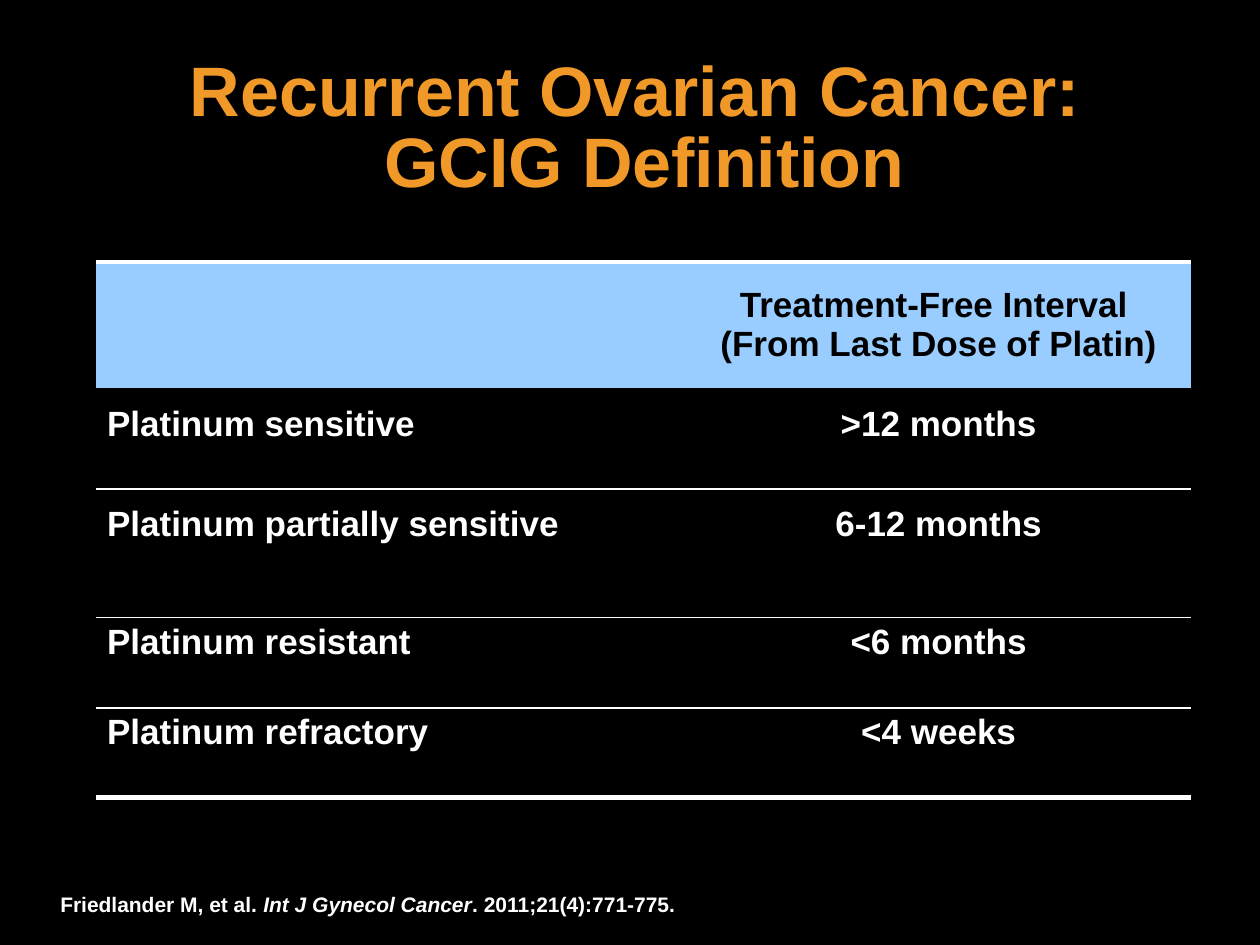
from lxml import etree
from pptx import Presentation
from pptx.dml.color import RGBColor
from pptx.enum.text import MSO_ANCHOR, PP_ALIGN
from pptx.oxml.ns import qn
from pptx.util import Inches, Pt

CENTER, LEFT = PP_ALIGN.CENTER, PP_ALIGN.LEFT
TOP, MIDDLE = MSO_ANCHOR.TOP, MSO_ANCHOR.MIDDLE
COLORS = {"background": "000000", "title": "F09828", "header": "99CCFF",
          "header_text": "000000", "text": "FFFFFF", "rule": "FFFFFF"}
FONT = "Arial"

HEADER = ["", "Treatment-Free Interval \n(From Last Dose of Platin)"]
# Label, interval, row height, top margin, width of the rule below
ROWS = [
    ("Platinum sensitive", ">12 months", 0.8, 0.13, 1),
    ("Platinum partially sensitive", "6-12 months", 1.02, 0.13, 1),
    ("Platinum resistant", "<6 months", 0.72, 0.04, 1),
    ("Platinum refractory", "<4 weeks", 0.71, 0.04, 3),
]
HEADER_HEIGHT = 1
COLUMN_WIDTHS = [4.69, 4]


def rgb(name):
    return RGBColor.from_string(COLORS[name])


def add_run(paragraph, text, size, color, italic=False):
    """Add bold text, turning each newline into a line break."""
    for index, line in enumerate(text.split("\n")):
        if index:
            paragraph.add_line_break()
        run = paragraph.add_run()
        run.text = line
        run.font.name = FONT
        run.font.size = Pt(size)
        run.font.bold = True
        run.font.italic = italic
        run.font.color.rgb = rgb(color)


def add_text_box(slide, box, wrap):
    """Add an empty text box and return its first paragraph."""
    shape = slide.shapes.add_textbox(*(Inches(length) for length in box))
    shape.text_frame.word_wrap = wrap
    return shape.text_frame.paragraphs[0]


def set_borders(cell, top, bottom):
    """Rule the top and bottom of a cell; a width of 0 means no line."""
    properties = cell._tc.get_or_add_tcPr()
    for tag, width in (("a:lnL", 0), ("a:lnR", 0), ("a:lnT", top), ("a:lnB", bottom)):
        line = etree.SubElement(properties, qn(tag), w=str(Pt(width)))
        if width:
            fill = etree.SubElement(line, qn("a:solidFill"))
            etree.SubElement(fill, qn("a:srgbClr"), val=COLORS["rule"])
        else:
            etree.SubElement(line, qn("a:noFill"))


def fill_cell(cell, text, color, alignment, anchor, margin_top):
    cell.margin_left = cell.margin_right = Inches(0.09)
    cell.margin_top, cell.margin_bottom = Inches(margin_top), Inches(0.04)
    cell.vertical_anchor = anchor
    paragraph = cell.text_frame.paragraphs[0]
    paragraph.alignment = alignment
    if text:
        add_run(paragraph, text, 20, color)


def add_title(slide, box):
    paragraph = add_text_box(slide, box, True)
    paragraph.alignment = CENTER
    paragraph.line_spacing = 0.85
    add_run(paragraph, "Recurrent Ovarian Cancer: \nGCIG Definition", 40, "title")


def add_definition_table(slide, box):
    frame = slide.shapes.add_table(len(ROWS) + 1, len(COLUMN_WIDTHS),
                                   *(Inches(length) for length in box))
    table = frame.table
    table.first_row = table.horz_banding = False
    for column, width in zip(table.columns, COLUMN_WIDTHS):
        column.width = Inches(width)

    table.rows[0].height = Inches(HEADER_HEIGHT)
    for cell, text in zip(table.rows[0].cells, HEADER):
        set_borders(cell, 3, 0)
        cell.fill.solid()
        cell.fill.fore_color.rgb = rgb("header")
        fill_cell(cell, text, "header_text", CENTER, MIDDLE, 0.04)

    rule_above = 0
    for index, (label, interval, height, margin_top, rule_below) in enumerate(ROWS, 1):
        row = table.rows[index]
        row.height = Inches(height)
        for cell, text, alignment in zip(row.cells, (label, interval), (LEFT, CENTER)):
            set_borders(cell, rule_above, rule_below)
            cell.fill.background()
            fill_cell(cell, text, "text", alignment, TOP, margin_top)
        rule_above = rule_below


def add_citation(slide, box):
    paragraph = add_text_box(slide, box, False)
    add_run(paragraph, "Friedlander M, et al. ", 12, "text")
    add_run(paragraph, "Int J Gynecol Cancer", 12, "text", italic=True)
    add_run(paragraph, ". 2011;21(4):771-775.", 12, "text")


def main():
    presentation = Presentation()
    presentation.slide_width, presentation.slide_height = Inches(10), Inches(7.5)
    slide = presentation.slides.add_slide(presentation.slide_layouts[6])
    slide.background.fill.solid()
    slide.background.fill.fore_color.rgb = rgb("background")
    add_definition_table(slide, (0.76, 2.08, 8.69, 4.25))
    add_title(slide, (0.49, 0.42, 9.25, 1.25))
    add_citation(slide, (0.38, 7.03, 5.18, 0.3))
    presentation.save("out.pptx")


if __name__ == "__main__":
    main()
